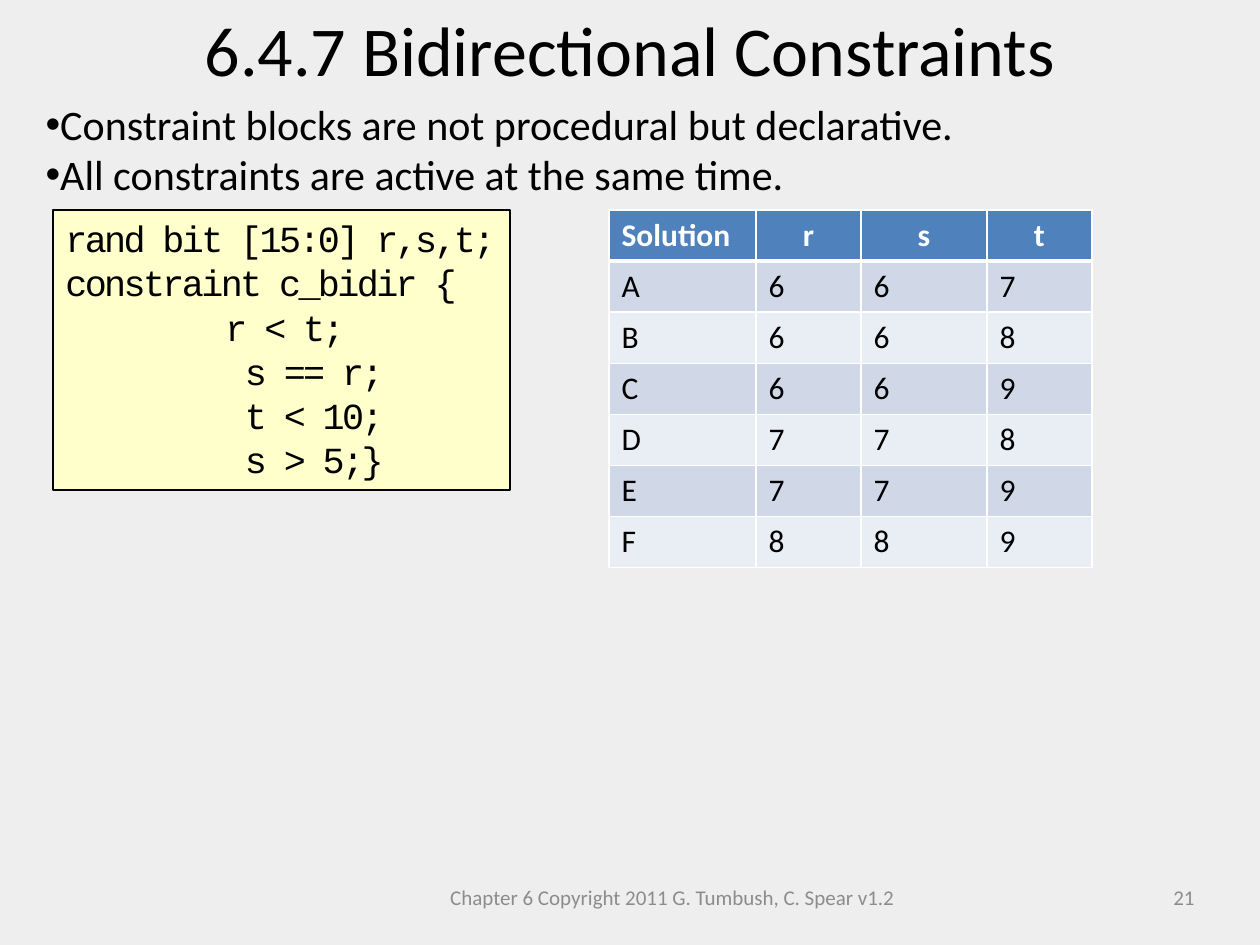
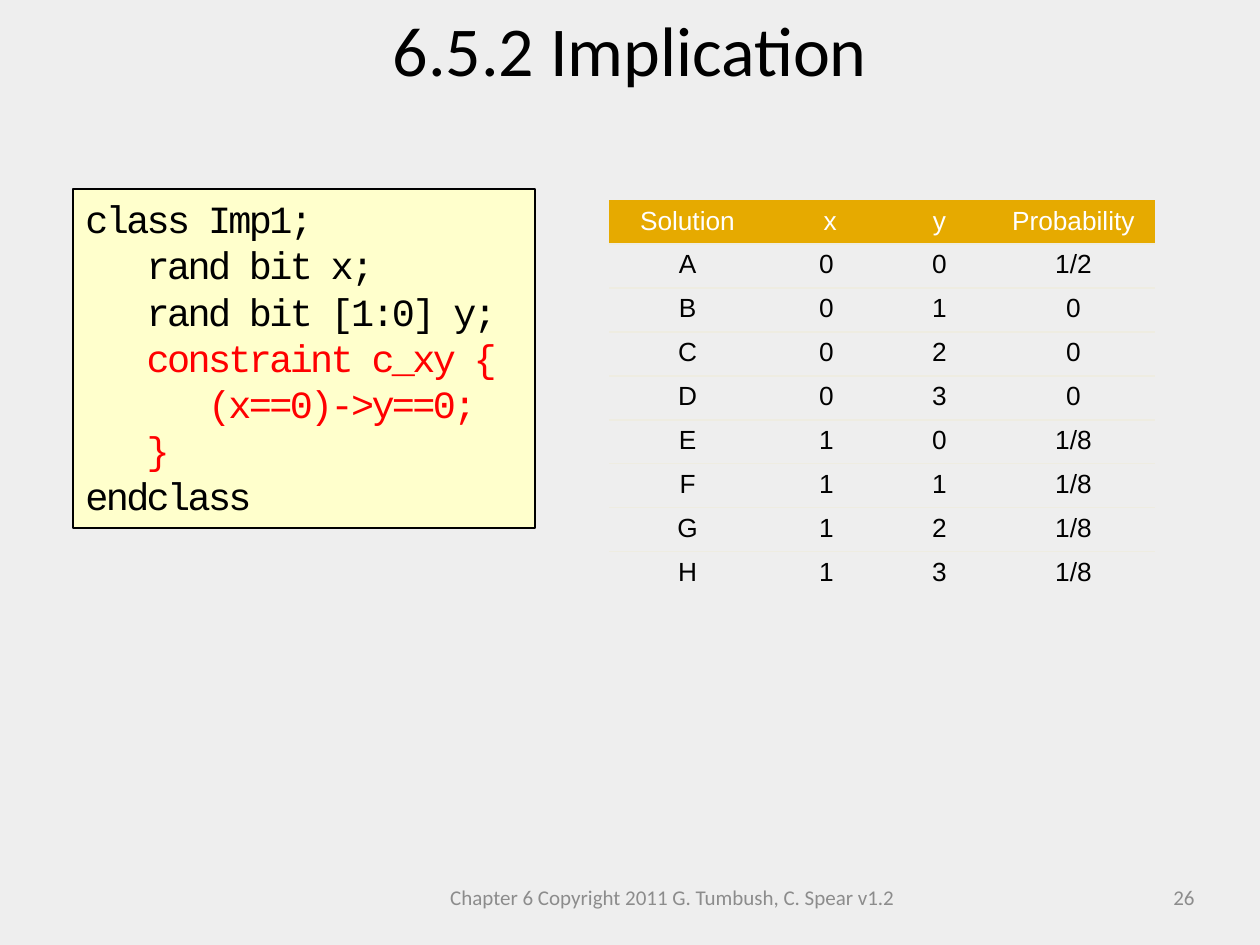
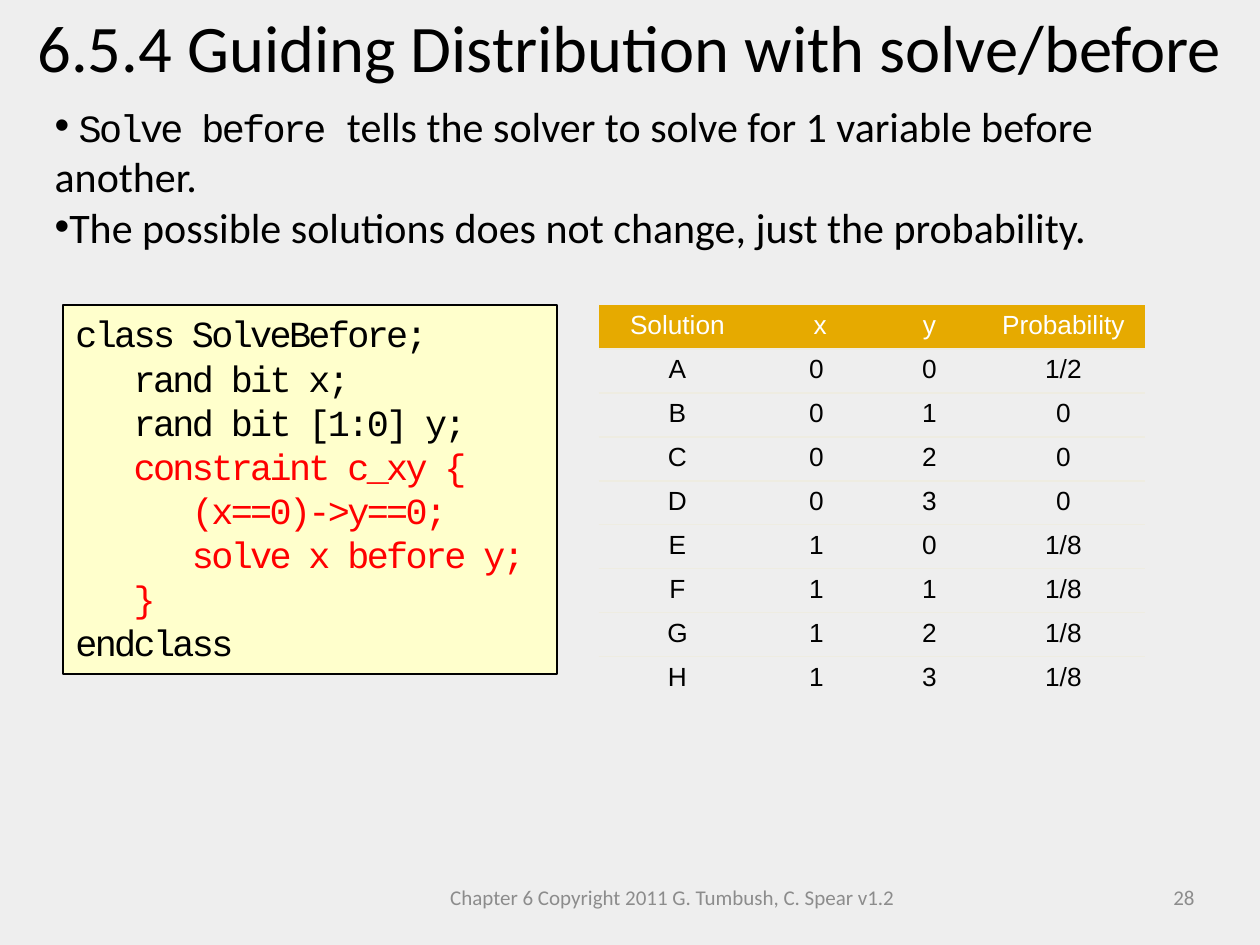
from dataclasses import dataclass
from typing import NamedTuple, Optional

from pptx import Presentation
from pptx.dml.color import RGBColor
from pptx.enum.shapes import MSO_SHAPE
from pptx.enum.text import MSO_ANCHOR as Anchor, MSO_AUTO_SIZE as AutoSize, PP_ALIGN as Align
from pptx.oxml.ns import qn
from pptx.oxml.xmlchemy import OxmlElement
from pptx.util import Emu, Pt

EMU_PER_PX = 914400 / 126

BLACK = RGBColor(0x00, 0x00, 0x00)
WHITE = RGBColor(0xFF, 0xFF, 0xFF)
RED = RGBColor(0xFF, 0x00, 0x00)
BACKGROUND = RGBColor(0xEE, 0xEE, 0xEE)
FOOTER_GREY = RGBColor(0x8C, 0x8C, 0x8C)
CODE_YELLOW = RGBColor(0xFF, 0xFF, 0xCC)
BLUE = RGBColor(0x4F, 0x81, 0xBD)
DARK_BAND = RGBColor(0xD0, 0xD8, 0xE8)
LIGHT_BAND = RGBColor(0xE9, 0xED, 0xF4)
GOLD = RGBColor(0xE6, 0xAA, 0x00)
CREAM = RGBColor(0xEE, 0xEC, 0xE1)

SANS, MONO, TABLE_SANS = "Calibri", "Courier New", "Arial"
CODE_TRACKING = "-150"
NO_STYLE_NO_GRID = "{2D5ABB26-0587-4C30-8999-92F81FD0307C}"
COPYRIGHT = "Chapter 6 Copyright 2011 G. Tumbush, C. Spear v1.2"


class Box(NamedTuple):
    left: int
    top: int
    width: int
    height: int


class Part(NamedTuple):
    text: str
    is_code: bool = False


@dataclass
class Bullets:
    box: Box
    items: list[list[Part]]


@dataclass
class Code:
    box: Box
    size: int
    border: float
    lines: list[str]
    red_lines: range = range(0)


@dataclass
class TableLook:
    font: str
    size: int
    header_fill: RGBColor
    bands: tuple[Optional[RGBColor], ...]
    border: RGBColor
    boxed: bool
    columns: tuple[int, ...]
    row_height: int


@dataclass
class Solutions:
    left: int
    top: int
    look: TableLook
    rows: list[tuple[str, ...]]


@dataclass
class Page:
    number: int
    title: str
    code: Code
    solutions: Solutions
    title_size: int = 40
    bullets: Optional[Bullets] = None


BANDED = TableLook(SANS, 18, BLUE, (DARK_BAND, LIGHT_BAND), WHITE, True,
                   (147, 105, 126, 105), 51)
RULED = TableLook(TABLE_SANS, 15, GOLD, (None,), CREAM, False,
                  (157, 121, 105, 163), 44)

BIDIRECTIONAL = [
    ("Solution", "r", "s", "t"),
    ("A", "6", "6", "7"),
    ("B", "6", "6", "8"),
    ("C", "6", "6", "9"),
    ("D", "7", "7", "8"),
    ("E", "7", "7", "9"),
    ("F", "8", "8", "9"),
]
PROBABILITIES = [
    ("Solution", " x", " y ", "Probability"),
    ("A", "0", "0", "1/2"),
    ("B", "0", "1", "0"),
    ("C", "0", "2", "0"),
    ("D", "0", "3", "0"),
    ("E", "1", "0", "1/8"),
    ("F", "1", "1", "1/8"),
    ("G", "1", "2", "1/8"),
    ("H", "1", "3", "1/8"),
]

PAGES = [
    Page(
        21, "6.4.7 Bidirectional Constraints",
        Code(Box(53, 210, 457, 280), 21, 0.75, [
            "rand bit [15:0] r,s,t;",
            "constraint c_bidir {",
            " \t     r < t;",
            "\t      s == r;",
            "\t      t < 10;",
            "\t      s > 5;}",
        ]),
        Solutions(609, 210, BANDED, BIDIRECTIONAL),
        bullets=Bullets(Box(33, 92, 951, 115), [
            [Part("Constraint blocks are not procedural but declarative.")],
            [Part("All constraints are active at the same time.")],
        ]),
    ),
    Page(
        26, "6.5.2 Implication",
        Code(Box(73, 189, 462, 339), 22, 1.25, [
            "class Imp1;",
            "   rand bit x;",
            "   rand bit [1:0] y;",
            "   constraint c_xy {",
            "      (x==0)->y==0;",
            "   }",
            "endclass",
        ], range(3, 6)),
        Solutions(609, 200, RULED, PROBABILITIES),
    ),
    Page(
        28, "6.5.4 Guiding Distribution with solve/before",
        Code(Box(63, 305, 494, 369), 21, 1.25, [
            "class SolveBefore;",
            "   rand bit x;",
            "   rand bit [1:0] y;",
            "   constraint c_xy {",
            "      (x==0)->y==0;",
            "      solve x before y;",
            "   }",
            "endclass",
        ], range(3, 7)),
        Solutions(599, 305, RULED, PROBABILITIES),
        title_size=38,
        bullets=Bullets(Box(42, 94, 1187, 165), [
            [Part(" "), Part("Solve before ", is_code=True),
             Part("tells the solver to solve for 1 variable before another.")],
            [Part("The possible solutions does not change, just the probability.")],
        ]),
    ),
]


def px(length: int) -> Emu:
    return Emu(round(length * EMU_PER_PX))


def place(shape, box: Box) -> None:
    shape.left, shape.top, shape.width, shape.height = map(px, box)


def style_run(run, name: str, size: float, color: RGBColor, bold: bool = False) -> None:
    run.font.name, run.font.size, run.font.bold = name, Pt(size), bold
    run.font.color.rgb = color


def style_code_run(run, size: float, color: RGBColor) -> None:
    style_run(run, MONO, size, color)
    run.font._element.set("spc", CODE_TRACKING)


def prepare_frame(frame, anchor: Anchor = Anchor.TOP) -> None:
    frame.word_wrap = True
    frame.auto_size = AutoSize.NONE
    frame.vertical_anchor = anchor


def add_footer_text(slide, box: Box, text: str, align: Align) -> None:
    footer = slide.shapes.add_textbox(*map(px, box))
    prepare_frame(footer.text_frame, Anchor.MIDDLE)
    footer.text_frame.text = text
    line = footer.text_frame.paragraphs[0]
    line.alignment = align
    style_run(line.runs[0], SANS, 12, FOOTER_GREY)


def fill_title(slide, text: str, size: int) -> None:
    title = slide.shapes.title
    place(title, Box(0, 0, 1260, 97))
    prepare_frame(title.text_frame)
    title.text_frame.text = text
    heading = title.text_frame.paragraphs[0]
    heading.alignment = Align.CENTER
    style_run(heading.runs[0], SANS, size, BLACK)


def set_flush_bullet(paragraph) -> None:
    """Put the bullet directly before the text, without a hanging indent."""
    properties = paragraph._p.get_or_add_pPr()
    properties.set("marL", "0")
    properties.set("indent", "0")
    bullet = OxmlElement("a:buChar")
    bullet.set("char", "•")
    properties.append(bullet)


def fill_bullets(slide, bullets: Bullets) -> None:
    body = slide.placeholders[1]
    place(body, bullets.box)
    frame = body.text_frame
    prepare_frame(frame)
    for index, parts in enumerate(bullets.items):
        item = frame.add_paragraph() if index else frame.paragraphs[0]
        set_flush_bullet(item)
        item.space_before = Pt(0)
        for part in parts:
            run = item.add_run()
            run.text = part.text
            if part.is_code:
                style_code_run(run, 22, BLACK)
            else:
                style_run(run, SANS, 24, BLACK)


def add_code(slide, code: Code) -> None:
    listing = slide.shapes.add_shape(MSO_SHAPE.RECTANGLE, *map(px, code.box))
    listing.shadow.inherit = False
    listing.fill.solid()
    listing.fill.fore_color.rgb = CODE_YELLOW
    listing.line.color.rgb = BLACK
    listing.line.width = Pt(code.border)
    frame = listing.text_frame
    prepare_frame(frame)
    frame.text = "\n".join(code.lines)
    for index, line in enumerate(frame.paragraphs):
        line.alignment = Align.LEFT
        color = RED if index in code.red_lines else BLACK
        for run in line.runs:
            style_code_run(run, code.size, color)


def add_border(cell, side: str, color: RGBColor, width: float) -> None:
    """Draw one cell edge; side is L, R, T or B."""
    edge = OxmlElement(f"a:ln{side}")
    edge.set("w", str(Pt(width)))
    fill = OxmlElement("a:solidFill")
    rgb = OxmlElement("a:srgbClr")
    rgb.set("val", str(color))
    fill.append(rgb)
    edge.append(fill)
    cell._tc.get_or_add_tcPr().append(edge)


def add_cell_borders(cell, row: int, last_row: int, look: TableLook) -> None:
    if look.boxed:
        add_border(cell, "L", look.border, 1)
        add_border(cell, "R", look.border, 1)
        add_border(cell, "T", look.border, 3 if row == 1 else 1)
        add_border(cell, "B", look.border, 3 if row == 0 else 1)
    elif row < last_row:
        add_border(cell, "B", look.border, 1)


def fill_cell(cell, text: str, row: int, column: int, look: TableLook) -> None:
    is_header = row == 0
    color = look.header_fill if is_header else look.bands[(row - 1) % len(look.bands)]
    if color is None:
        cell.fill.background()
    else:
        cell.fill.solid()
        cell.fill.fore_color.rgb = color
    cell.text_frame.text = text
    entry = cell.text_frame.paragraphs[0]
    centred = not look.boxed or (is_header and column > 0)
    entry.alignment = Align.CENTER if centred else Align.LEFT
    style_run(entry.runs[0], look.font, look.size, WHITE if is_header else BLACK,
              bold=is_header and look.boxed)


def add_solutions(slide, solutions: Solutions) -> None:
    look, rows = solutions.look, solutions.rows
    box = Box(solutions.left, solutions.top, sum(look.columns), look.row_height * len(rows))
    table = slide.shapes.add_table(len(rows), len(look.columns), *map(px, box)).table
    table._tbl.tblPr.find(qn("a:tableStyleId")).text = NO_STYLE_NO_GRID
    table.first_row = table.horz_banding = False
    for column, width in zip(table.columns, look.columns):
        column.width = px(width)
    for row, texts in enumerate(rows):
        table.rows[row].height = px(look.row_height)
        for column, text in enumerate(texts):
            cell = table.cell(row, column)
            add_cell_borders(cell, row, len(rows) - 1, look)
            fill_cell(cell, text, row, column, look)


def add_page(deck, page: Page) -> None:
    layout_name = "Title and Content" if page.bullets else "Title Only"
    slide = deck.slides.add_slide(deck.slide_layouts.get_by_name(layout_name))
    fill_title(slide, page.title, page.title_size)
    if page.bullets:
        fill_bullets(slide, page.bullets)
    add_code(slide, page.code)
    add_solutions(slide, page.solutions)
    add_footer_text(slide, Box(431, 872, 483, 50), COPYRIGHT, Align.CENTER)
    add_footer_text(slide, Box(914, 872, 293, 50), str(page.number), Align.RIGHT)


def main() -> None:
    deck = Presentation()
    deck.slide_width, deck.slide_height = px(1260), px(945)
    background = deck.slide_master.background.fill
    background.solid()
    background.fore_color.rgb = BACKGROUND
    for page in PAGES:
        add_page(deck, page)
    deck.save("out.pptx")


if __name__ == "__main__":
    main()
